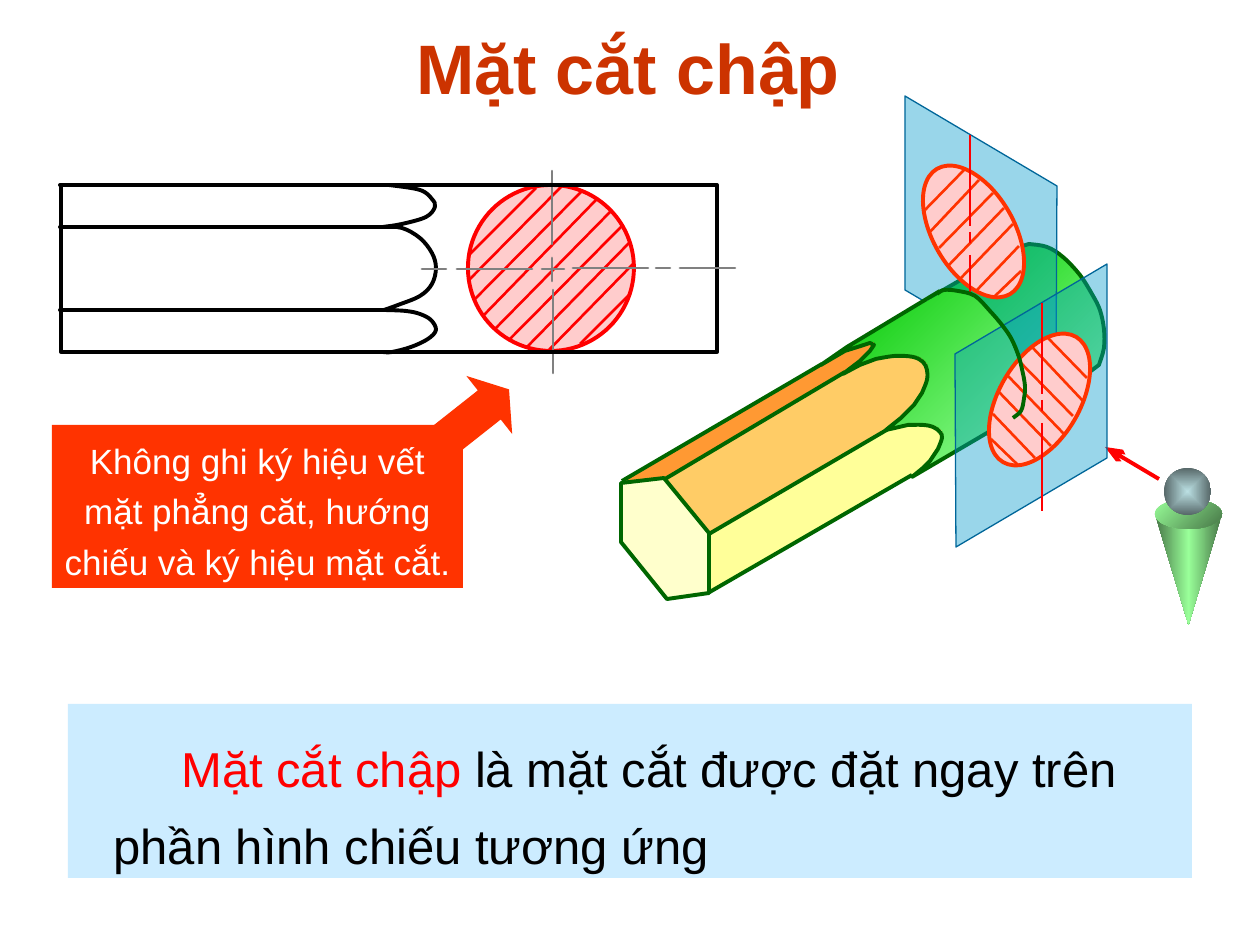
import pptx
import pptx.util
import pptx.dml.color
import pptx.enum.shapes
import pptx.enum.text
import pptx.oxml.ns
from lxml import etree

PX = 914400 / 126
RGB = pptx.dml.color.RGBColor
SHAPE = pptx.enum.shapes.MSO_SHAPE
ALIGN = pptx.enum.text.PP_ALIGN
ANCHOR = pptx.enum.text.MSO_ANCHOR
qn = pptx.oxml.ns.qn

BLACK, WHITE, GREY = RGB(0, 0, 0), RGB(255, 255, 255), RGB(128, 128, 128)
RED, ORANGE_RED, BRICK = RGB(255, 0, 0), RGB(255, 51, 0), RGB(204, 51, 0)
PINK, PALE_BLUE = RGB(255, 204, 204), RGB(204, 236, 255)
DARK_GREEN, MID_GREEN, LIME = RGB(0, 102, 0), RGB(0, 128, 0), RGB(102, 255, 51)
GREEN, DEEP_GREEN, MINT = RGB(0, 204, 0), RGB(0, 200, 0), RGB(153, 255, 153)
MOSS, HEAD_LIGHT, HEAD_DARK = RGB(71, 118, 71), RGB(187, 224, 227), RGB(87, 104, 105)
PLANE_BLUE, PLANE_EDGE = RGB(0, 153, 204), RGB(0, 102, 153)
AMBER, PEACH = RGB(255, 153, 51), RGB(255, 204, 102)
YELLOW, CREAM = RGB(255, 255, 153), RGB(255, 255, 204)

TITLE = "Mặt cắt chập"
DEFINITION = [
    [("Mặt cắt chập", RED), (" là mặt cắt được đặt ngay trên", BLACK)],
    [("phần hình chiếu tương ứng", BLACK)],
]
NOTE = "Không ghi ký hiệu vết mặt phẳng căt, hướng chiếu và ký hiệu mặt cắt."

CIRCLE_HATCH = [
    (580, 344, 630, 294), (547, 352, 634, 263), (527, 347, 630, 242),
    (509, 340, 622, 226), (494, 330, 612, 210), (484, 315, 597, 199),
    (469, 280, 562, 186), (474, 300, 581, 192), (469, 255, 536, 188),
]
CIRCLE_AXES = [
    (552, 258, 552, 281), (552, 171, 552, 244), (553, 290, 553, 373),
]
FRONT_EDGES = [
    (62, 352, 716, 352), (60, 310, 387, 310), (60, 227, 386, 227),
    (60, 185, 716, 185), (61, 186, 61, 352), (717, 185, 717, 352),
]
SHAFT_AXIS = [
    (542, 269, 564, 269), (573, 268, 648, 268), (457, 269, 532, 269),
    (656, 268, 670, 268), (422, 269, 446, 269), (680, 268, 735, 268),
]
FRONT_SCALLOPS = [
    [(389, 185), (420, 190), (432, 199), (435, 207), (426, 217), (402, 224), (383, 227)],
    [(384, 227), (402, 228), (420, 238), (432, 253), (436, 268), (432, 284),
     (420, 296), (398, 305), (384, 310)],
    [(385, 310), (406, 311), (420, 314), (431, 320), (436, 330), (428, 339),
     (411, 347), (392, 352), (383, 352)],
]

PLANE = [(1056, 379), (905, 290), (905, 96), (1057, 186)]
PLANE_HATCH = [
    (929, 233, 979, 180), (939, 248, 993, 193), (948, 266, 1004, 208),
    (961, 278, 1013, 224), (994, 297, 1021, 271), (925, 210, 965, 169),
    (977, 290, 1019, 246),
]
PLANE_AXIS = [(970, 135, 970, 226), (970, 255, 970, 343), (970, 232, 970, 243)]
MIRROR_X, MIRROR_DROP = 2012, 168

REAR_CYLINDER = [
    (1011, 421), (1087, 374),
    [(1099, 365), (1104, 348), (1104, 329), (1100, 310), (1092, 294), (1080, 275),
     (1063, 257), (1047, 247), (1029, 244)],
    (1016, 248), (940, 292),
]
PRISM_FACES = [
    (AMBER, [(665, 479), (872, 355), (877, 340), (864, 339), (832, 357), (622, 481)]),
    (PEACH, [(709, 534), (921, 408), (931, 378), (930, 358), (907, 353), (876, 355),
             (852, 367), (665, 479)]),
    (YELLOW, [(709, 593), (935, 462), (948, 432), (935, 421), (901, 421), (709, 534)]),
]
PRISM_END = [(621, 542), (667, 599), (709, 593), (709, 533), (664, 478), (621, 483)]
PRISM_EDGES = [
    (708, 593, 912, 475), (709, 534, 890, 428), (665, 479, 845, 372), (622, 481, 822, 364),
]
SCALLOPS = [
    (849, 345), (823, 363), (847, 349), (863, 344), (872, 341), (876, 343), (872, 349),
    (862, 359), (845, 372), (862, 363),
    [(878, 357), (897, 354), (915, 355), (925, 360), (929, 368), (929, 378), (924, 391)],
    (916, 403), (903, 416), (888, 428), (897, 426),
    [(910, 423), (925, 423), (935, 425), (942, 430), (944, 436), (940, 447)],
    (932, 459), (925, 466), (914, 475),
]
BODY_RIM = [
    (958, 450), (1007, 421), (1018, 410),
    [(1022, 398), (1023, 381), (1018, 362), (1009, 339), (998, 323),
     (987, 309), (972, 296), (948, 290)],
]
CUT_RIM = [[(937, 294), (944, 290), (958, 291), (975, 296), (990, 311), (1002, 325),
            (1011, 338), (1018, 354), (1022, 369), (1025, 386), (1024, 399),
            (1021, 411), (1013, 418)]]

deck = pptx.Presentation()
deck.slide_width, deck.slide_height = pptx.util.Inches(10), pptx.util.Inches(7.5)
slide = deck.slides.add_slide(deck.slide_layouts[6])
shapes = slide.shapes


def emu(*lengths):
    return [round(length * PX) for length in lengths]


def gradient(shape, stops, angle=None):
    shape.fill.background()
    grad = etree.Element(qn("a:gradFill"), rotWithShape="1")
    stop_list = etree.SubElement(grad, qn("a:gsLst"))
    for i, color in enumerate(stops):
        stop = etree.SubElement(stop_list, qn("a:gs"), pos=str(100000 * i // (len(stops) - 1)))
        etree.SubElement(stop, qn("a:srgbClr"), val=str(color))
    if angle is None:
        radial = etree.SubElement(grad, qn("a:path"), path="shape")
        etree.SubElement(radial, qn("a:fillToRect"), l="50000", t="50000", r="50000", b="50000")
    else:
        etree.SubElement(grad, qn("a:lin"), ang=str(angle * 60000), scaled="1")
    properties = shape._element.spPr
    properties.replace(properties.find(qn("a:noFill")), grad)


def paint(shape, fill=None, line=None, width=2.25):
    shape.shadow.inherit = False
    if fill is None:
        shape.fill.background()
    else:
        shape.fill.solid()
        shape.fill.fore_color.rgb = fill
    if line is None:
        shape.line.fill.background()
    else:
        shape.line.color.rgb = line
        shape.line.width = pptx.util.Pt(width)
    return shape


def preset(kind, box, *style, rotation=0):
    shape = paint(shapes.add_shape(kind, *emu(*box)), *style)
    shape.rotation = rotation
    return shape


def bend(knots):
    spots = [(int(knot[0].get("x")), int(knot[0].get("y"))) for knot in knots]
    padded = [spots[0], *spots, spots[-1]]
    for knot, a, b, c, d in zip(knots[1:], padded, padded[1:], padded[2:], padded[3:]):
        knot.tag = qn("a:cubicBezTo")
        leave = [q + (r - p) / 6 for p, q, r in zip(a, b, c)]
        arrive = [r - (s - q) / 6 for q, r, s in zip(b, c, d)]
        for i, (x, y) in enumerate((leave, arrive)):
            knot.insert(i, etree.Element(qn("a:pt"), x=str(round(x)), y=str(round(y))))


def outline(parts, *style, close=True):
    runs = [part if isinstance(part, list) else [part] for part in parts]
    corners = [emu(*point) for run in runs for point in run]
    builder = shapes.build_freeform(*corners[0], scale=1.0)
    builder.add_line_segments(corners[1:], close=close)
    shape = paint(builder.convert_to_shape(), *style)
    steps = list(shape._element.spPr.iter(qn("a:moveTo"), qn("a:lnTo")))
    ends = []
    for run in runs:
        start = ends[-1] if ends else 0
        ends.append(start + len(run))
        if len(run) > 1:
            ends_here = [etree.fromstring(etree.tostring(step)) for step in steps[start:ends[-1]]]
            bend(ends_here)
            for old, new in zip(steps[start + 1:ends[-1]], ends_here[1:]):
                old.getparent().replace(old, new)
    return shape


def lines(segments, color, width, cap="flat"):
    for segment in segments:
        edge = shapes.add_connector(pptx.enum.shapes.MSO_CONNECTOR.STRAIGHT, *emu(*segment))
        edge.line.color.rgb = color
        edge.line.width = pptx.util.Pt(width)
        edge.line._get_or_add_ln().set("cap", cap)
        etree.SubElement(edge._element.spPr, qn("a:effectLst"))
    return edge


def write(paragraph, runs, size, bold=False):
    for words, color in runs:
        run = paragraph.add_run()
        run.text = words
        run.font.name, run.font.size, run.font.bold = "Arial", pptx.util.Pt(size), bold
        run.font.color.rgb = color


def cutting_plane(mirrored):
    def place(x, y):
        return (MIRROR_X - x, y + MIRROR_DROP) if mirrored else (x, y)

    def placed(segments):
        return [place(*s[:2]) + place(*s[2:]) for s in segments]

    sheet = outline([place(*p) for p in PLANE], PLANE_BLUE, PLANE_EDGE, 0.75)
    tint = sheet._element.spPr.find(qn("a:solidFill"))[0]
    etree.SubElement(tint, qn("a:alpha"), val="40000")
    center_x, center_y = place(973, 231)
    preset(SHAPE.OVAL, (center_x - 40, center_y - 72, 81, 145), PINK, ORANGE_RED,
           rotation=30.2 if mirrored else 329.8)
    lines(placed(PLANE_HATCH), ORANGE_RED, 1.5)
    lines(placed(PLANE_AXIS), RED, 1)


title = shapes.add_textbox(*emu(61, 16, 1134, 102)).text_frame
title.word_wrap = True
title.vertical_anchor = ANCHOR.MIDDLE
title.paragraphs[0].alignment = ALIGN.CENTER
write(title.paragraphs[0], [(TITLE, BRICK)], 40, True)

gradient(outline(REAR_CYLINDER, None, DARK_GREEN, close=False), (GREEN, MINT), 45)
preset(SHAPE.OVAL, (932, 286, 81, 145), LIME, MID_GREEN, 1.5, rotation=329.8)

preset(SHAPE.OVAL, (468, 185, 166, 166), PINK, RED)
lines(CIRCLE_HATCH, RED, 1.5)
lines(CIRCLE_AXES, GREY, 1.5, "rnd")
lines(FRONT_EDGES, BLACK, 2.25, "rnd")
outline(FRONT_SCALLOPS, None, BLACK, close=False)
lines(SHAFT_AXIS, GREY, 1.5, "rnd")

cutting_plane(False)

gradient(preset(SHAPE.ISOSCELES_TRIANGLE, (1155, 514, 67, 111), rotation=180),
         (MOSS, MINT, MOSS), 0)
gradient(preset(SHAPE.OVAL, (1155, 499, 67, 30)), (MINT, MOSS), 45)
gradient(preset(SHAPE.OVAL, (1164, 468, 47, 47)), (HEAD_LIGHT, HEAD_DARK))
sight = lines([(1159, 479, 1105, 447)], RED, 2.25)
etree.SubElement(sight.line._get_or_add_ln(), qn("a:tailEnd"), type="arrow", len="lg")

for color, face in PRISM_FACES:
    outline(face, color)
outline(PRISM_END, CREAM, DARK_GREEN)
lines(PRISM_EDGES, DARK_GREEN, 2.25)
gradient(outline(SCALLOPS + BODY_RIM), (DEEP_GREEN, MINT), 45)
shifted = [[(x - 2, y + 2) for x, y in (part if isinstance(part, list) else [part])]
           for part in SCALLOPS]
outline([(940, 291), *shifted, (1016, 416)], None, DARK_GREEN, close=False)

cutting_plane(True)
outline(CUT_RIM, None, DARK_GREEN, close=False)

preset(SHAPE.RECTANGLE, (68, 704, 1124, 174), PALE_BLUE)
definition = shapes.add_textbox(*emu(101, 715, 1159, 166)).text_frame
definition.word_wrap = True
for i, runs in enumerate(DEFINITION):
    paragraph = definition.add_paragraph() if i else definition.paragraphs[0]
    paragraph.line_spacing = 1.3
    write(paragraph, runs, 28)
definition.paragraphs[0]._p.get_or_add_pPr().set("indent", str(emu(68)[0]))

pointer = preset(SHAPE.UP_ARROW, (432, 370, 74, 102), ORANGE_RED, rotation=51.7)
pointer.adjustments[0], pointer.adjustments[1] = 0.5, 0.34
note = preset(SHAPE.RECTANGLE, (52, 425, 411, 163), ORANGE_RED).text_frame
note.word_wrap = True
note.vertical_anchor = ANCHOR.TOP
note.paragraphs[0].alignment = ALIGN.CENTER
note.paragraphs[0].line_spacing = 1.2
write(note.paragraphs[0], [(NOTE, WHITE)], 20)

deck.save("out.pptx")
